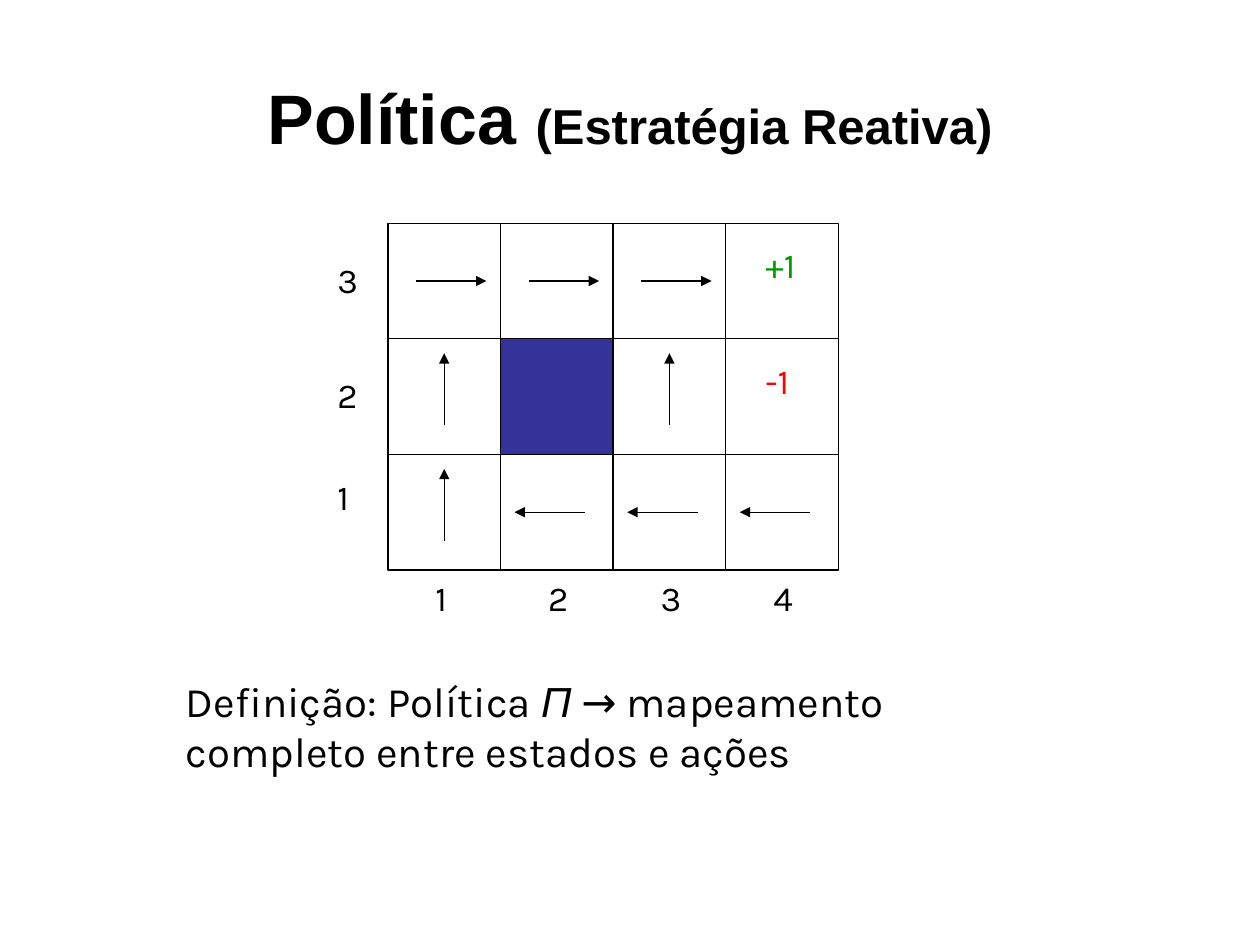
import pptx
import pptx.util
import pptx.dml.color
import pptx.enum.shapes
import pptx.enum.text
from lxml import etree
from pptx.oxml.ns import qn
from pptx.util import Cm

COLORS = {"ink": "000000", "wall": "333399", "gain": "009900", "loss": "FF0000"}
LINE_WIDTH = pptx.util.Pt(0.75)
LABEL_HEIGHT = Cm(1.11)

# Policy of each cell, top row first; None means no arrow
POLICY = [
    ["right", "right", "right", None],
    ["up", None, "up", None],
    ["up", "left", "left", "left"],
]
# Start and end of an arrow as fractions of its cell
ARROWS = {
    "right": ((0.25, 0.5), (0.875, 0.5)),
    "left": ((0.75, 0.5), (0.125, 0.5)),
    "up": ((0.5, 0.75), (0.5, 0.125)),
}
# Label on the left of each row and its top, in cells from the grid's top
ROW_LABELS = [("3", 0.25), ("2", 1.25), ("1", 2.125)]


def rgb(name):
    return pptx.dml.color.RGBColor.from_string(COLORS[name])


def format_run(run, size, font="Karla", color="ink", bold=False, italic=False):
    run.font.size = pptx.util.Pt(size)
    run.font.name = font
    run.font.color.rgb = rgb(color)
    run.font.bold = bold
    run.font.italic = italic


def add_line(slide, start, end, arrow=False):
    line = slide.shapes.add_connector(
        pptx.enum.shapes.MSO_CONNECTOR.STRAIGHT,
        *[round(value) for value in (*start, *end)])
    line.line.width = LINE_WIDTH
    line.line.color.rgb = rgb("ink")
    if arrow:
        outline = line.line._get_or_add_ln()
        etree.SubElement(outline, qn("a:tailEnd"), type="triangle")
    etree.SubElement(line._element.spPr, qn("a:effectLst"))
    return line


def add_rectangle(slide, left, top, width, height, fill=None):
    shape = slide.shapes.add_shape(
        pptx.enum.shapes.MSO_SHAPE.RECTANGLE,
        round(left), round(top), round(width), round(height))
    shape.shadow.inherit = False
    shape.line.width = LINE_WIDTH
    shape.line.color.rgb = rgb("ink")
    if fill:
        shape.fill.solid()
        shape.fill.fore_color.rgb = rgb(fill)
    else:
        shape.fill.background()
    return shape


def add_label(slide, text, left, top, width=Cm(0.91), color="ink"):
    box = slide.shapes.add_textbox(round(left), round(top), width, LABEL_HEIGHT)
    frame = box.text_frame
    frame.text = text
    frame.word_wrap = False
    frame.auto_size = pptx.enum.text.MSO_AUTO_SIZE.SHAPE_TO_FIT_TEXT
    format_run(frame.paragraphs[0].runs[0], 20, color=color)


def add_title(slide, left, top, width, height):
    title = slide.shapes.title
    title.left, title.top, title.width, title.height = left, top, width, height
    frame = title.text_frame
    frame.vertical_anchor = pptx.enum.text.MSO_ANCHOR.MIDDLE
    paragraph = frame.paragraphs[0]
    paragraph.alignment = pptx.enum.text.PP_ALIGN.CENTER
    for text, size in [("Política ", 40), ("(Estratégia Reativa)", 28)]:
        run = paragraph.add_run()
        run.text = text
        format_run(run, size, "Arial", bold=True)


def add_grid_world(slide, left, top, width, height):
    rows, columns = len(POLICY), len(POLICY[0])
    cell_width, cell_height = width / columns, height / rows

    def point(column, row):
        return left + column * cell_width, top + row * cell_height

    # Frame and inner lines
    frame = add_rectangle(slide, left, top, width, height)
    for column in range(1, columns):
        line = add_line(slide, point(column, 0), point(column, rows))
        if column * 2 == columns:
            line.begin_connect(frame, 0)
            line.end_connect(frame, 2)
    for row in range(1, rows):
        add_line(slide, point(0, row), point(columns, row))

    # Blocked cell
    add_rectangle(slide, *point(1, 1), cell_width, cell_height, "wall")

    # Rewards in the last column
    for row, (text, color) in enumerate([("+1", "gain"), ("-1", "loss")]):
        reward_left, reward_top = point(columns - 1, row + 0.125)
        add_label(slide, text, reward_left + Cm(0.55), reward_top, Cm(1.23), color)

    # Row and column numbers
    for text, row in ROW_LABELS:
        add_label(slide, text, left - Cm(1.27), point(0, row)[1])
    for column in range(columns):
        label_left, label_top = point(column, rows)
        add_label(slide, str(column + 1), label_left + Cm(0.71), label_top)

    # Action arrows
    for row, actions in enumerate(POLICY):
        for column, action in enumerate(actions):
            if action:
                start, end = [point(column + x, row + y) for x, y in ARROWS[action]]
                add_line(slide, start, end, arrow=True)


def add_definition(slide, left, top, width, height):
    frame = slide.shapes.add_textbox(left, top, width, height).text_frame
    frame.word_wrap = True
    frame.auto_size = pptx.enum.text.MSO_AUTO_SIZE.SHAPE_TO_FIT_TEXT
    for text, font, italic in [
        ("Definição: Política ", "Karla", False),
        ("Π", "Arial", True),
        (" → mapeamento completo entre estados e ações", "Karla", False),
    ]:
        run = frame.paragraphs[0].add_run()
        run.text = text
        format_run(run, 24, font, italic=italic)


def main():
    presentation = pptx.Presentation()
    presentation.slide_width, presentation.slide_height = Cm(25.4), Cm(19.05)
    slide = presentation.slides.add_slide(presentation.slide_layouts[5])
    add_title(slide, Cm(1.27), Cm(0.76), Cm(22.86), Cm(3.18))
    add_grid_world(slide, Cm(7.82), Cm(4.5), Cm(9.08), Cm(6.99))
    add_definition(slide, Cm(3.5), Cm(13.49), Cm(18), Cm(2.29))
    presentation.save("out.pptx")


if __name__ == "__main__":
    main()
